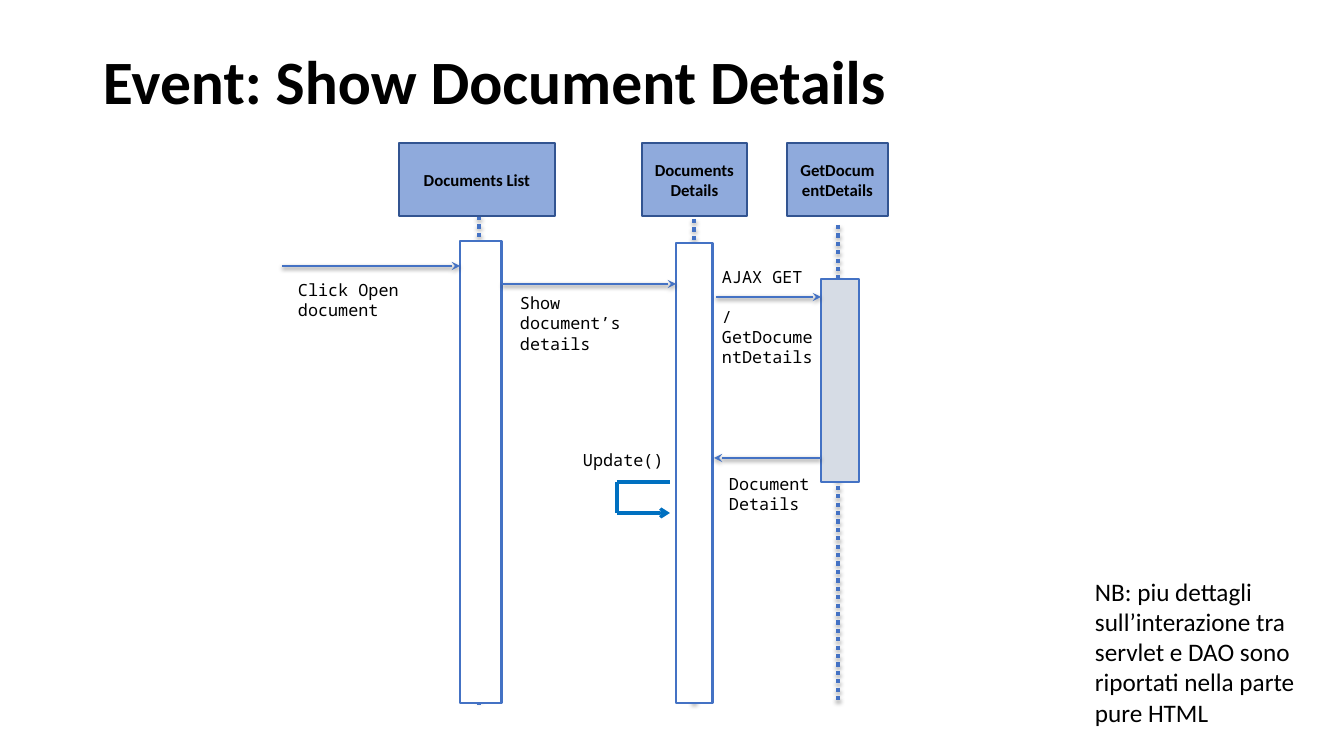
import lxml.etree
import pptx
import pptx.dml.color
import pptx.enum.shapes
import pptx.enum.text
import pptx.oxml
import pptx.oxml.ns
import pptx.util

SCALE = 914400 / 100.8
BLUE, LOOP_BLUE = "4472C4", "0070C0"
HEAD_FILL, HEAD_LINE = "8FAADC", "325491"
WHITE, GREY, BLACK = "FFFFFF", "D6DCE5", "000000"
MONO, SANS = "Noto Sans Mono", "Calibri"


def px(*lengths):
    """Turn px lengths into a list of EMU."""
    return [pptx.util.Emu(round(length * SCALE)) for length in lengths]


def rgb(hex_string):
    """Turn a hex string into a colour."""
    return pptx.dml.color.RGBColor.from_string(hex_string)


def write(frame, lines, size, font, bold=False, align=None, insets=(12, 6)):
    """Fill a text frame with one paragraph per line."""
    frame.word_wrap = True
    frame.margin_left, frame.margin_top = px(*insets)
    frame.margin_right, frame.margin_bottom = px(*insets)
    for index, line in enumerate(lines):
        paragraph = frame.add_paragraph() if index else frame.paragraphs[0]
        paragraph.text = line
        paragraph.alignment = align
        paragraph.font.size = pptx.util.Pt(size)
        paragraph.font.name = font
        paragraph.font.bold = bold
        paragraph.font.color.rgb = rgb(BLACK)


def add_label(slide, box, lines, size=12, font=MONO, **style):
    """Place a text box and return its frame."""
    frame = slide.shapes.add_textbox(*px(*box)).text_frame
    write(frame, lines, size, font, **style)
    return frame


def add_block(slide, box, fill, line, width):
    """Draw a bordered rectangle."""
    block = slide.shapes.add_shape(pptx.enum.shapes.MSO_SHAPE.RECTANGLE, *px(*box))
    block.shadow.inherit = False
    block.fill.solid()
    block.fill.fore_color.rgb = rgb(fill)
    block.line.color.rgb = rgb(line)
    block.line.width = pptx.util.Pt(width)
    return block


def add_line(slide, start, end, color, width, dash=None, arrow=None, shadow=None):
    """Draw a straight line with optional dash, arrowhead and (alpha, distance) shadow."""
    line = slide.shapes.add_connector(
        pptx.enum.shapes.MSO_CONNECTOR.STRAIGHT, *px(*start, *end))
    line.line.color.rgb = rgb(color)
    line.line.width = pptx.util.Pt(width)
    qn = pptx.oxml.ns.qn
    properties = line._element.spPr
    outline = properties.find(qn("a:ln"))
    if dash:
        lxml.etree.SubElement(outline, qn("a:prstDash"), val=dash)
    if arrow:
        lxml.etree.SubElement(outline, qn("a:tailEnd"), type=arrow)
    effects = lxml.etree.SubElement(properties, qn("a:effectLst"))
    if shadow:
        alpha, distance = shadow
        outer = lxml.etree.SubElement(
            effects, qn("a:outerShdw"), blurRad=str(pptx.util.Pt(3.1)),
            dist=str(pptx.util.Pt(distance)), dir="5400000", rotWithShape="0")
        tint = lxml.etree.SubElement(outer, qn("a:srgbClr"), val=BLACK)
        lxml.etree.SubElement(tint, qn("a:alpha"), val=str(alpha * 1000))


def add_title(slide, box, title):
    """Place the slide heading."""
    frame = add_label(slide, box, [title], 44, SANS, bold=True, insets=(10, 5))
    frame.vertical_anchor = pptx.enum.text.MSO_ANCHOR.MIDDLE
    frame.paragraphs[0].line_spacing = 0.9


def add_participant(slide, box, names, stem, activation, fill):
    """Draw a participant's head, dotted lifeline and activation bar in a column."""
    left, top, width, height = box
    stem_x, stem_y = stem
    bar_x, bar_y, bar_width, bar_height = activation
    add_line(slide, (left + stem_x, top + stem_y), (left + stem_x, top + height),
             BLUE, 3, dash="sysDot", shadow=(35, 1.8))
    head = add_block(slide, (left, top, width, 73), HEAD_FILL, HEAD_LINE, 1)
    write(head.text_frame, names, 12, SANS, bold=True,
          align=pptx.enum.text.PP_ALIGN.CENTER)
    head.text_frame.vertical_anchor = pptx.enum.text.MSO_ANCHOR.MIDDLE
    add_block(slide, (left + bar_x, top + bar_y, bar_width, bar_height), fill, BLUE, 2)


def add_message(slide, start, reach, label_box, lines):
    """Draw a message arrow, with its label placed relative to the arrow's start."""
    x, y = start
    label_x, label_y, width, height = label_box
    add_line(slide, start, (x + reach, y), BLUE, 2, arrow="stealth", shadow=(38, 1.6))
    return add_label(slide, (x + label_x, y + label_y, width, height), lines)


def add_self_call(slide, box, name):
    """Draw a loop arrow in the box with its label above."""
    left, top, width, height = box
    right, bottom = left + width, top + height
    add_line(slide, (right, top), (left, top), LOOP_BLUE, 2.25)
    add_line(slide, (left, top), (left, bottom), LOOP_BLUE, 2.25)
    add_line(slide, (left, bottom), (right, bottom), LOOP_BLUE, 2.25, arrow="arrow")
    add_label(slide, (left - 46, top - 38, 159, 34), [name])


def add_note(slide, box, text):
    """Place the side note."""
    add_label(slide, box, [text], 18, SANS, insets=(10, 5))


def main():
    """Build and save the sequence diagram slide."""
    deck = pptx.Presentation()
    deck.slide_width, deck.slide_height = px(1344, 756)
    slide = deck.slides.add_slide(deck.slide_layouts[6])

    add_title(slide, (93, 40, 1159, 89), "Event: Show Document Details")
    participants = [
        (399, 156, ["Documents List"], (80, 73), (61, 98, 42, 462), WHITE),
        (642, 105, ["Documents", "Details"], (52, 76), (34, 100, 37, 460), WHITE),
        (787, 101, ["GetDocumentDetails"], (51, 82), (34, 136, 38, 203), GREY),
    ]
    for left, width, *parts in participants:
        add_participant(slide, (left, 143, width, 561), *parts)

    add_message(slide, (282, 266), 178, (4, 8, 125, 49), ["Click Open", "document"])
    add_message(slide, (502, 284), 174, (6, 3, 143, 67),
                ["Show", "document’s", "details"])
    request = add_message(slide, (716, 297), 105, (-6, -36, 119, 106),
                          ["AJAX GET", "/GetDocumentDetails"])
    request.paragraphs[1].space_before = pptx.util.Pt(14)
    add_message(slide, (821, 458), -107, (-104, 10, 198, 34), ["Document", "Details"])
    add_self_call(slide, (617, 482, 53, 31), "Update()")
    add_note(slide, (1085, 571, 237, 163),
             "NB: piu dettagli sull’interazione tra servlet e DAO sono "
             "riportati nella parte pure HTML")
    deck.save("out.pptx")


if __name__ == "__main__":
    main()
